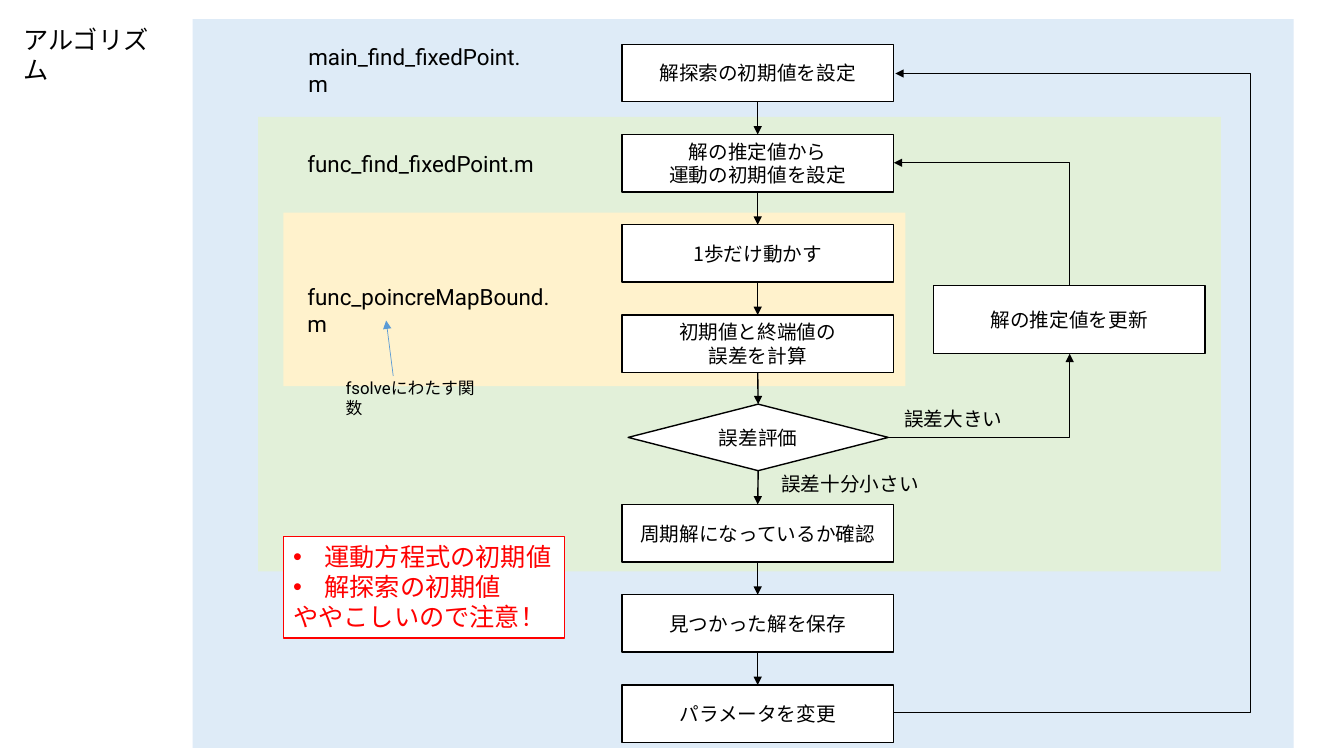
"""Flowchart slide of the algorithm that searches for a fixed point."""
from lxml import etree
from pptx import Presentation, util as u
from pptx.dml.color import RGBColor
from pptx.enum import shapes as s, text as t
from pptx.oxml.ns import qn

CJK = "Noto Sans CJK JP"
BLACK, WHITE, RED, BLUE = "000000", "FFFFFF", "FF0000", "5B9BD5"
STEP_LEFT, STEP_WIDTH, STEP_HEIGHT = 6.17, 2.69, 0.57
FIRST_TOP, PITCH = 0.44, 0.895

deck = Presentation()
deck.slide_width, deck.slide_height = u.Inches(13.33), u.Inches(7.5)
slide = deck.slides.add_slide(deck.slide_layouts[5])


def write(shape, words, size, font=CJK, color=BLACK, align=t.PP_ALIGN.LEFT, anchor=t.MSO_ANCHOR.TOP):
    """Fill a shape with formatted, wrapped text."""
    frame = shape.text_frame
    frame.text = words
    frame.word_wrap = True
    frame.auto_size = t.MSO_AUTO_SIZE.NONE
    frame.vertical_anchor = anchor
    for paragraph in frame.paragraphs:
        paragraph.alignment = align
        for run in paragraph.runs:
            run.font.size = u.Pt(size)
            run.font.name = font
            run.font.color.rgb = RGBColor.from_string(color)
            etree.SubElement(run.font._element, qn("a:ea"), typeface=CJK)


def style(shape, line=None, width=1, fill=None):
    """Set the outline and fill; a connector also gets an arrowhead."""
    if line:
        shape.line.color.rgb = RGBColor.from_string(line)
        shape.line.width = u.Pt(width)
    else:
        shape.line.fill.background()
    if fill:
        shape.shadow.inherit = False
        shape.fill.solid()
        shape.fill.fore_color.rgb = RGBColor.from_string(fill)
    else:
        etree.SubElement(shape.line._get_or_add_ln(), qn("a:tailEnd"), type="triangle")
        etree.SubElement(shape._element.spPr, qn("a:effectLst"))


title = slide.shapes.title
title.left, title.top, title.width, title.height = map(u.Inches, (0.13, 0.19, 1.58, 0.4))
write(title, "アルゴリズム", 18, "Calibri")

for scope, color in [
    ((1.91, 0.19, 10.92, 7.23), "DEEBF7"),
    ((2.56, 1.16, 9.55, 4.51), "E2F0D9"),
    ((2.81, 2.11, 6.17, 1.72), "FFF2CC"),
]:
    panel = slide.shapes.add_shape(s.MSO_SHAPE.RECTANGLE, *map(u.Inches, scope))
    style(panel, fill=color)

tops = [FIRST_TOP + PITCH * row + (0.09 if row > 4 else 0) for row in range(8)]
nodes = [
    (s.MSO_SHAPE.RECTANGLE, words, STEP_LEFT, top, STEP_WIDTH, STEP_HEIGHT)
    for words, top in zip([
        "解探索の初期値を設定",
        "解の推定値から\v運動の初期値を設定",
        "1歩だけ動かす",
        "初期値と終端値の\v誤差を計算",
        "誤差評価",
        "周期解になっているか確認",
        "見つかった解を保存",
        "パラメータを変更",
    ], tops)
]
nodes[4] = (s.MSO_SHAPE.DIAMOND, "誤差評価", 6.23, 4.01, 2.58, 0.66)
nodes.append((s.MSO_SHAPE.RECTANGLE, "解の推定値を更新", 9.26, 2.83, STEP_WIDTH, 0.68))
flow = []
for outline, words, *box in nodes:
    step = slide.shapes.add_shape(outline, *map(u.Inches, box))
    style(step, BLACK, fill=WHITE)
    write(step, words, 14, align=t.PP_ALIGN.CENTER, anchor=t.MSO_ANCHOR.MIDDLE)
    flow.append(step)

for upper, lower in zip(flow[:7], flow[1:8]):
    arrow = slide.shapes.add_connector(s.MSO_CONNECTOR.STRAIGHT, 0, 0, 0, 0)
    arrow.begin_connect(upper, 2)
    arrow.end_connect(lower, 0)
    style(arrow, BLACK)

for ends, preset, turn, bend in [
    ((8.81, 4.34, 10.61, 3.51), "bentConnector2", 0, None),
    ((9.13, 3.09, 10.34, 1.35), "bentConnector2", 270, None),
    ((8.87, 7.07, 8.88, 0.73), "bentConnector3", 0, 359),
]:
    loop = slide.shapes.add_connector(s.MSO_CONNECTOR.ELBOW, *map(u.Inches, ends))
    style(loop, BLACK)
    loop._element.spPr.xfrm.set("rot", str(turn * 60000))
    geometry = loop._element.spPr.find(qn("a:prstGeom"))
    geometry.set("prst", preset)
    if bend:
        guides = geometry.find(qn("a:avLst"))
        etree.SubElement(guides, qn("a:gd"), name="adj1", fmla=f"val {bend * 100000}")

for words, box, size, font in [
    ("誤差大きい", (8.87, 3.99, 1.18, 0.34), 14, CJK),
    ("誤差十分小さい", (7.65, 4.63, 1.57, 0.34), 14, CJK),
    ("func_poincreMapBound.m", (2.95, 2.76, 2.79, 0.37), 16, "Roboto"),
    ("func_find_fixedPoint.m", (2.95, 1.44, 2.51, 0.37), 16, "Roboto"),
    ("main_find_fixedPoint.m", (2.96, 0.38, 2.48, 0.37), 16, "Roboto"),
    ("fsolveにわたす関数", (3.33, 3.7, 1.62, 0.3), 12, "Roboto"),
]:
    label = slide.shapes.add_textbox(*map(u.Inches, box))
    write(label, words, size, font)

pointer = slide.shapes.add_connector(s.MSO_CONNECTOR.STRAIGHT, *map(u.Inches, (3.9, 3.73, 3.83, 3.18)))
style(pointer, BLUE, 0.5)

caution = slide.shapes.add_shape(s.MSO_SHAPE.RECTANGLE, *map(u.Inches, (2.81, 5.32, 2.79, 1.01)))
style(caution, RED, fill=WHITE)
write(caution, "運動方程式の初期値\n解探索の初期値\nややこしいので注意！", 18, color=RED)
for item in caution.text_frame.paragraphs[:2]:
    properties = item._p.get_or_add_pPr()
    properties.set("marL", str(u.Inches(0.31)))
    properties.set("indent", str(-u.Inches(0.31)))
    etree.SubElement(properties, qn("a:buFont"), typeface="Arial")
    etree.SubElement(properties, qn("a:buChar"), char="•")

deck.save("out.pptx")
